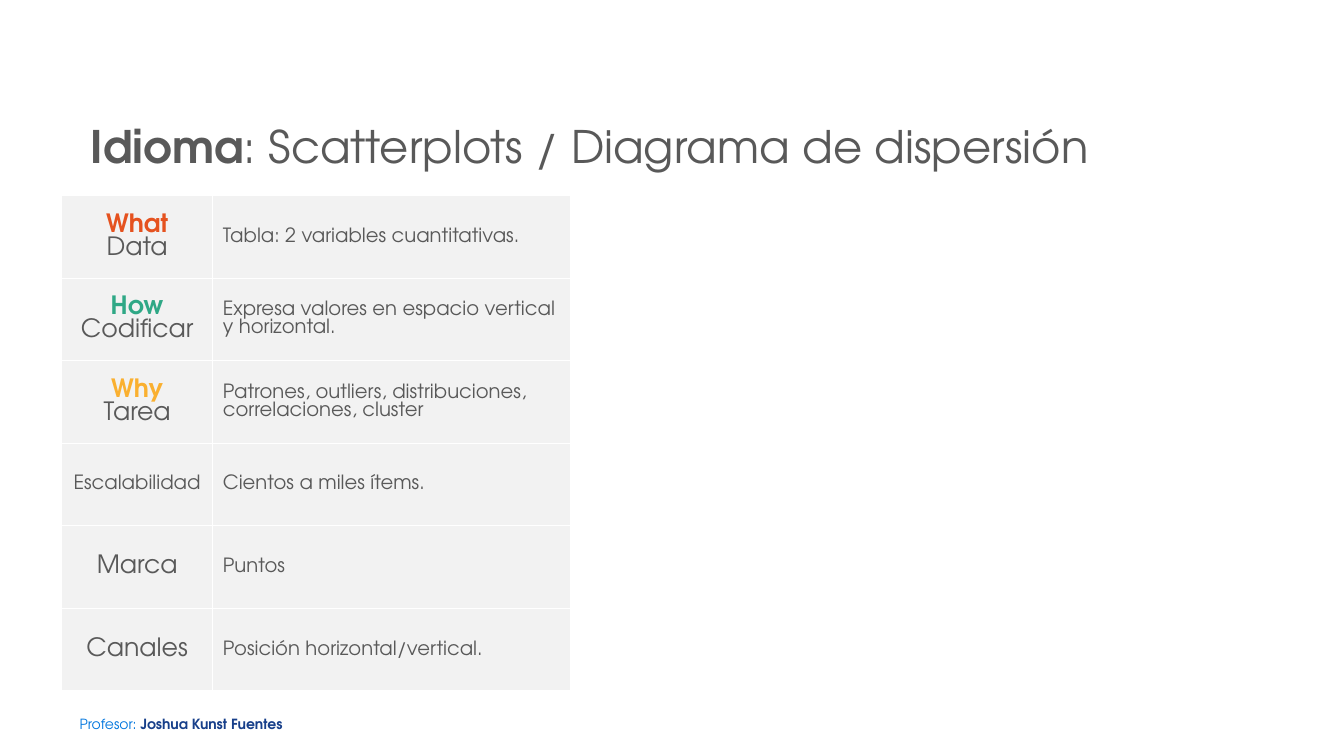
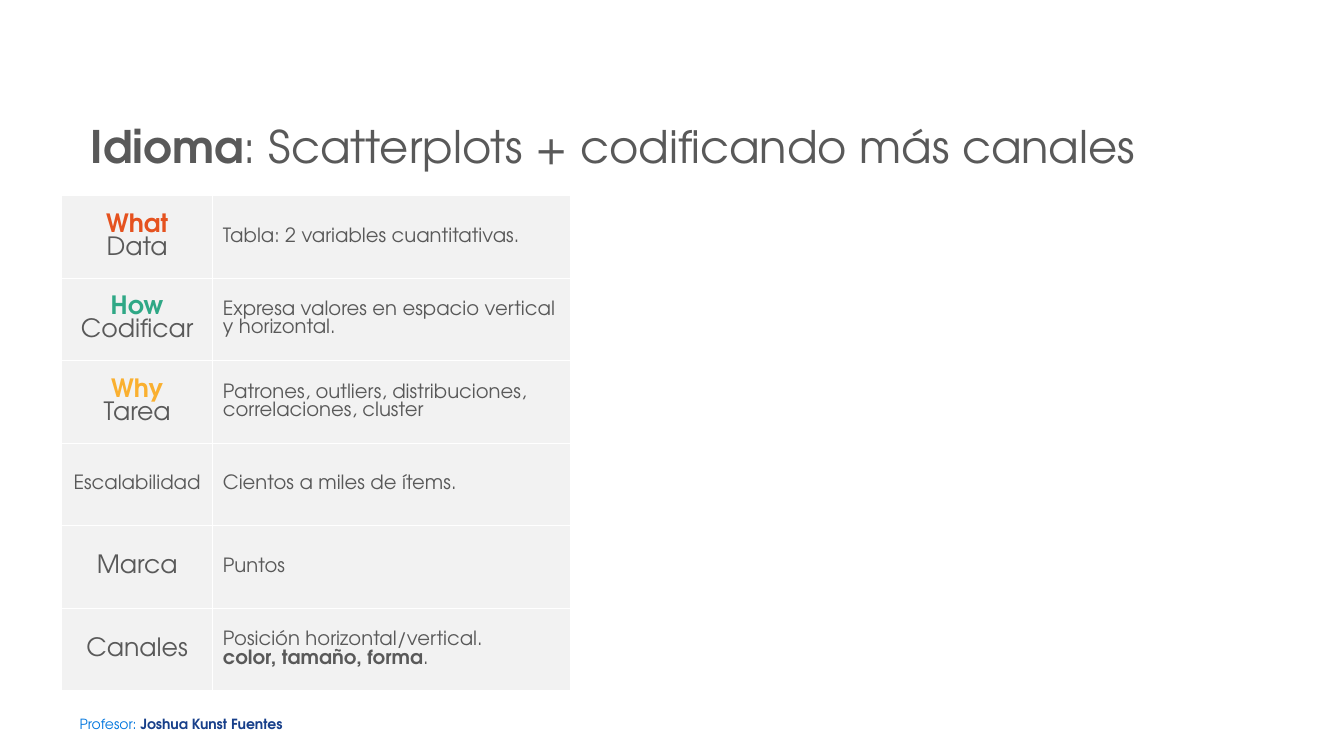
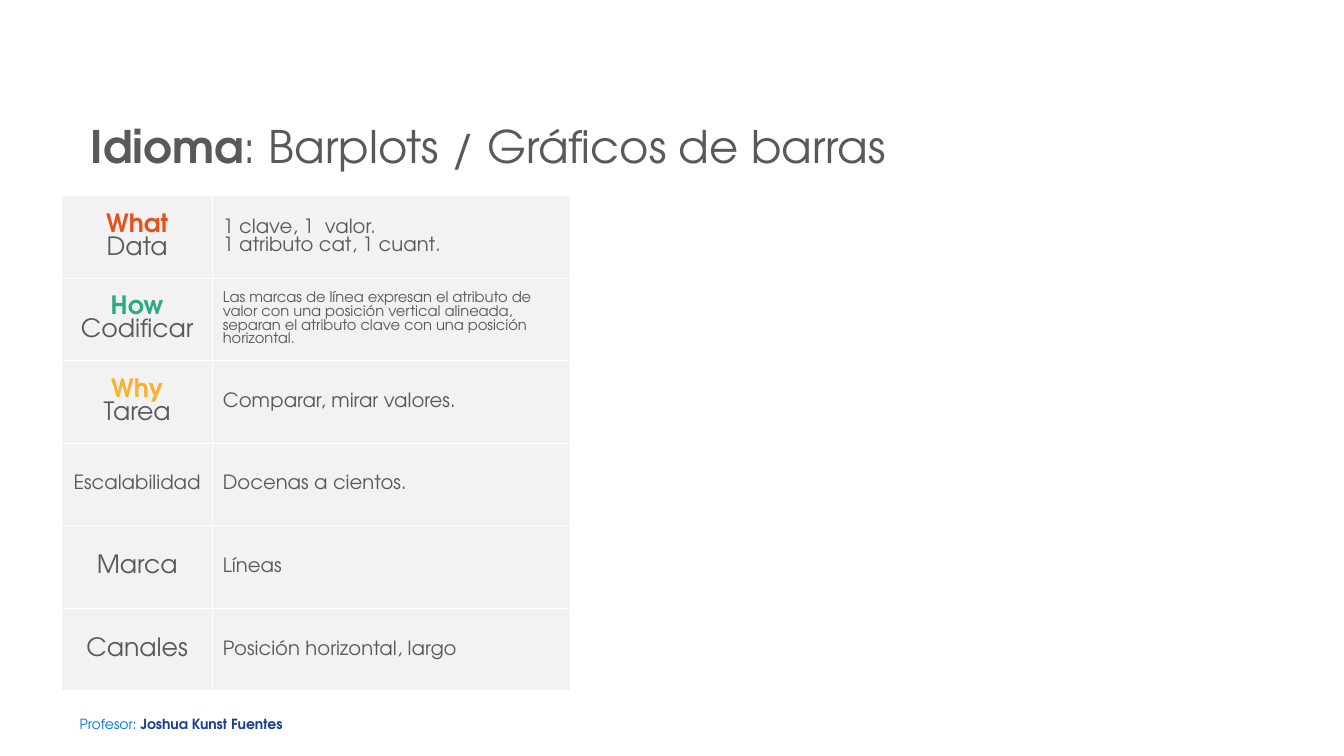
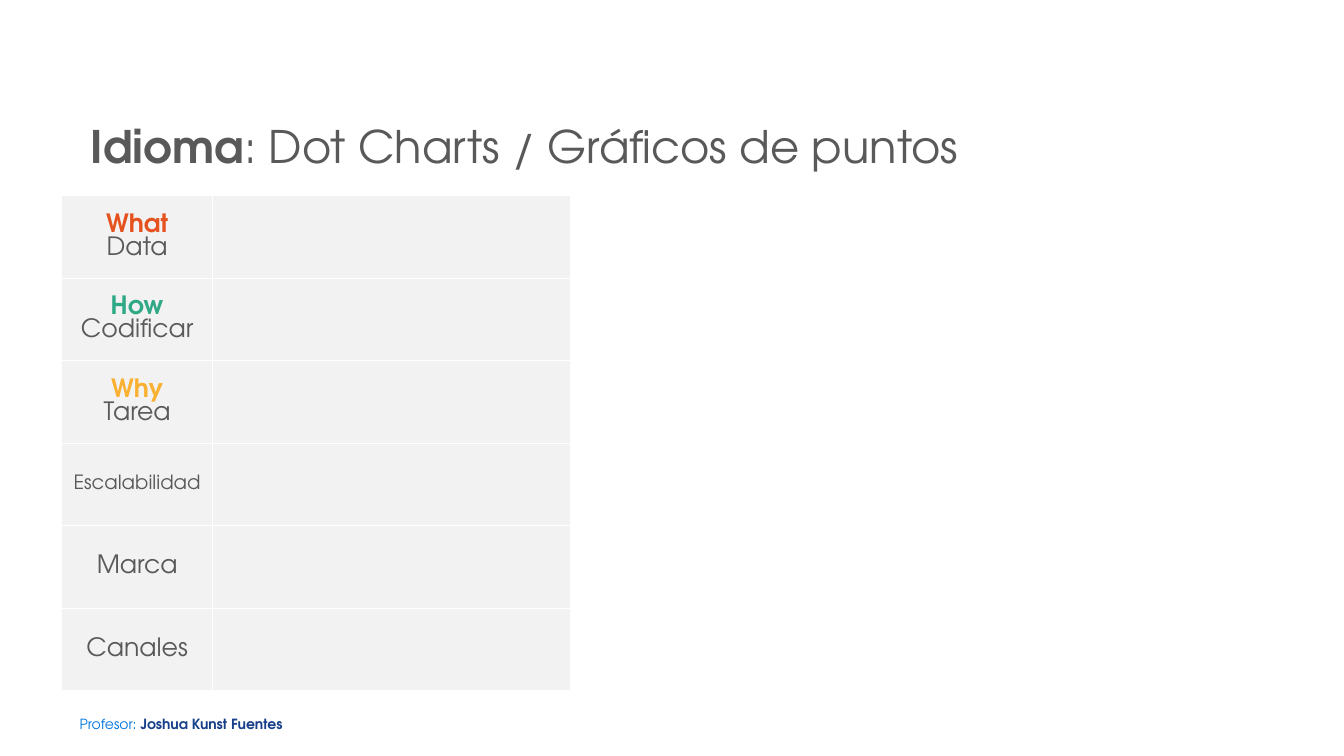
from dataclasses import dataclass

import lxml.etree
import pptx
import pptx.dml.color
import pptx.enum.text
import pptx.oxml.ns
import pptx.util

ALIGN = pptx.enum.text.PP_ALIGN
ANCHOR = pptx.enum.text.MSO_ANCHOR


@dataclass(frozen=True)
class Theme:
    font: str = "TeX Gyre Adventor"
    text: str = "595959"
    cell: str = "F2F2F2"
    border: str = "FFFFFF"
    what: str = "E5521F"
    how: str = "2FA886"
    why: str = "FAB030"
    role: str = "0176DE"
    name: str = "173F8A"
    title_size: float = 32
    label_size: float = 18
    body_size: float = 14
    small_size: float = 10.5
    footer_size: float = 10
    title_leading: float = 73
    footer_leading: float = 22
    cell_leading: float = 0.925


@dataclass(frozen=True)
class Box:
    """Shares of the slide's size, in percent."""
    left: float
    top: float
    width: float
    height: float


@dataclass(frozen=True)
class Run:
    text: str
    color: str = Theme.text
    bold: bool = False


Lines = list[list[Run]]


@dataclass(frozen=True)
class Label:
    lines: Lines
    size: float = Theme.label_size


@dataclass(frozen=True)
class Answer:
    lines: Lines
    size: float = Theme.body_size


@dataclass(frozen=True)
class Idiom:
    title: str
    title_width: float
    answers: list[Answer]


THEME = Theme()
WIDTH = pptx.util.Inches(13.33)
HEIGHT = pptx.util.Inches(7.5)

FOOTER_BOX = Box(5.93, 92.8, 16.43, 3.47)
TITLE_LEFT, TITLE_TOP, TITLE_HEIGHT = 6, 8.67, 13.47
TABLE_LEFT, TABLE_TOP = 4.58, 25.87
COLUMNS = (11.25, 26.63)
ROW = 10.92


def plain(*lines: str) -> Lines:
    return [[Run(line)] for line in lines]


def question(word: str, color: str, topic: str) -> Label:
    return Label([[Run(word, color, True)], [Run(topic)]])


def answer(*lines: str, size: float = THEME.body_size) -> Answer:
    return Answer(plain(*lines), size)


LABELS = [
    question("What", THEME.what, "Data"),
    question("How", THEME.how, "Codificar"),
    question("Why", THEME.why, "Tarea"),
    Label(plain("Escalabilidad"), THEME.body_size),
    Label(plain("Marca")),
    Label(plain("Canales")),
]

SCATTER = [
    answer("Tabla: 2 variables cuantitativas."),
    answer("Expresa valores en espacio vertical y horizontal."),
    answer("Patrones, outliers, distribuciones, correlaciones, cluster"),
]
POSITION = "Posición horizontal/vertical."

IDIOMS = [
    Idiom("Scatterplots / Diagrama de dispersión", 80.5, SCATTER + [
        answer("Cientos a miles ítems."),
        answer("Puntos"),
        answer(POSITION),
    ]),
    Idiom("Scatterplots + codificando más canales", 84.02, SCATTER + [
        answer("Cientos a miles de ítems."),
        answer("Puntos"),
        Answer([[Run(POSITION)],
                [Run("color, tamaño, forma", bold=True), Run(".")]]),
    ]),
    Idiom("Barplots / Gráficos de barras", 61.52, [
        answer("1 clave, 1  valor.", "1 atributo cat, 1 cuant."),
        answer("Las marcas de línea expresan el atributo de valor con una "
               "posición vertical alineada, separan el atributo clave con "
               "una posición horizontal.", size=THEME.small_size),
        answer("Comparar, mirar valores."),
        answer("Docenas a cientos."),
        answer("Líneas"),
        answer("Posición horizontal, largo"),
    ]),
    Idiom("Dot Charts / Gráficos de puntos", 67.07, [answer()] * len(LABELS)),
]


def across(share: float) -> int:
    return round(WIDTH * share / 100)


def down(share: float) -> int:
    return round(HEIGHT * share / 100)


def rgb(color: str) -> pptx.dml.color.RGBColor:
    return pptx.dml.color.RGBColor.from_string(color)


def write(tf, lines: Lines, *, size: float, leading: float,
          align=ALIGN.LEFT) -> None:
    for i, line in enumerate(lines):
        p = tf.add_paragraph() if i else tf.paragraphs[0]
        p.alignment = align
        p.line_spacing = pptx.util.Pt(leading)
        for run in line:
            r = p.add_run()
            r.text = run.text
            r.font.name = THEME.font
            r.font.size = pptx.util.Pt(size)
            r.font.bold = run.bold
            r.font.color.rgb = rgb(run.color)


def add_text(slide, box: Box, line: list[Run], *, size: float,
             leading: float, inset: bool = True) -> None:
    sp = slide.shapes.add_textbox(across(box.left), down(box.top),
                                  across(box.width), down(box.height))
    tf = sp.text_frame
    tf.word_wrap = True
    tf.vertical_anchor = ANCHOR.TOP
    if not inset:
        tf.margin_left = tf.margin_right = 0
        tf.margin_top = tf.margin_bottom = 0
    write(tf, [line], size=size, leading=leading)


def add_borders(cell) -> None:
    qn = pptx.oxml.ns.qn
    props = cell._tc.get_or_add_tcPr()
    for i, side in enumerate(("lnL", "lnR", "lnT", "lnB")):
        ln = lxml.etree.Element(qn(f"a:{side}"), w=str(pptx.util.Pt(1)))
        fill = lxml.etree.SubElement(ln, qn("a:solidFill"))
        lxml.etree.SubElement(fill, qn("a:srgbClr"), val=THEME.border)
        props.insert(i, ln)


def fill_cell(cell, content: Label | Answer, align) -> None:
    cell.vertical_anchor = ANCHOR.MIDDLE
    cell.fill.solid()
    cell.fill.fore_color.rgb = rgb(THEME.cell)
    add_borders(cell)
    write(cell.text_frame, content.lines, size=content.size,
          leading=round(content.size * THEME.cell_leading, 1), align=align)


def add_summary(slide, answers: list[Answer]) -> None:
    table = slide.shapes.add_table(
        len(LABELS), len(COLUMNS), across(TABLE_LEFT), down(TABLE_TOP),
        across(sum(COLUMNS)), down(ROW * len(LABELS))).table
    table.first_row = False
    table.horz_banding = False
    for column, share in zip(table.columns, COLUMNS):
        column.width = across(share)
    for i, (label, reply) in enumerate(zip(LABELS, answers)):
        table.rows[i].height = down(ROW)
        fill_cell(table.cell(i, 0), label, ALIGN.CENTER)
        fill_cell(table.cell(i, 1), reply, ALIGN.LEFT)


def add_footer(slide) -> None:
    add_text(slide, FOOTER_BOX,
             [Run("Profesor: ", THEME.role),
              Run("Joshua Kunst Fuentes", THEME.name, True)],
             size=THEME.footer_size, leading=THEME.footer_leading,
             inset=False)


def add_title(slide, idiom: Idiom) -> None:
    add_text(slide,
             Box(TITLE_LEFT, TITLE_TOP, idiom.title_width, TITLE_HEIGHT),
             [Run("Idioma", bold=True), Run(f": {idiom.title}")],
             size=THEME.title_size, leading=THEME.title_leading)


def main() -> None:
    prs = pptx.Presentation()
    prs.slide_width, prs.slide_height = WIDTH, HEIGHT
    for idiom in IDIOMS:
        slide = prs.slides.add_slide(prs.slide_layouts[6])
        add_footer(slide)
        add_title(slide, idiom)
        add_summary(slide, idiom.answers)
    prs.save("out.pptx")


if __name__ == "__main__":
    main()
